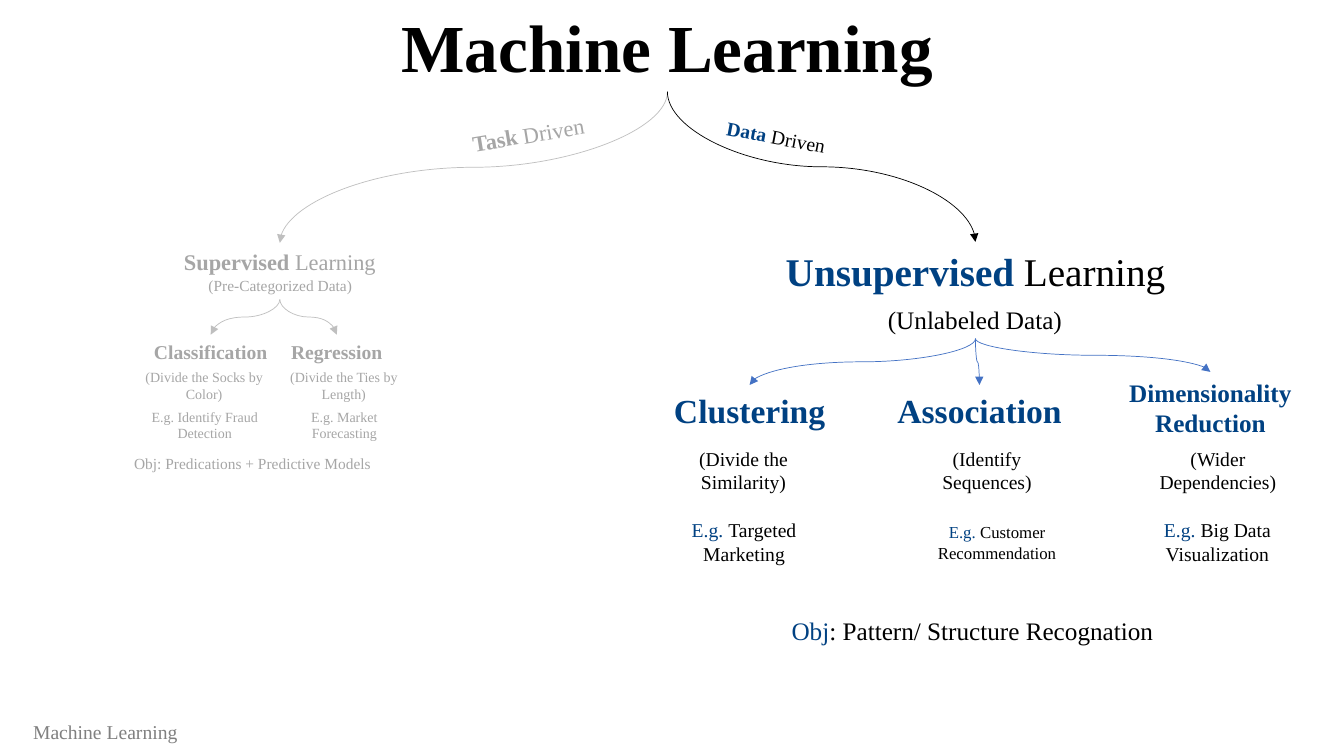
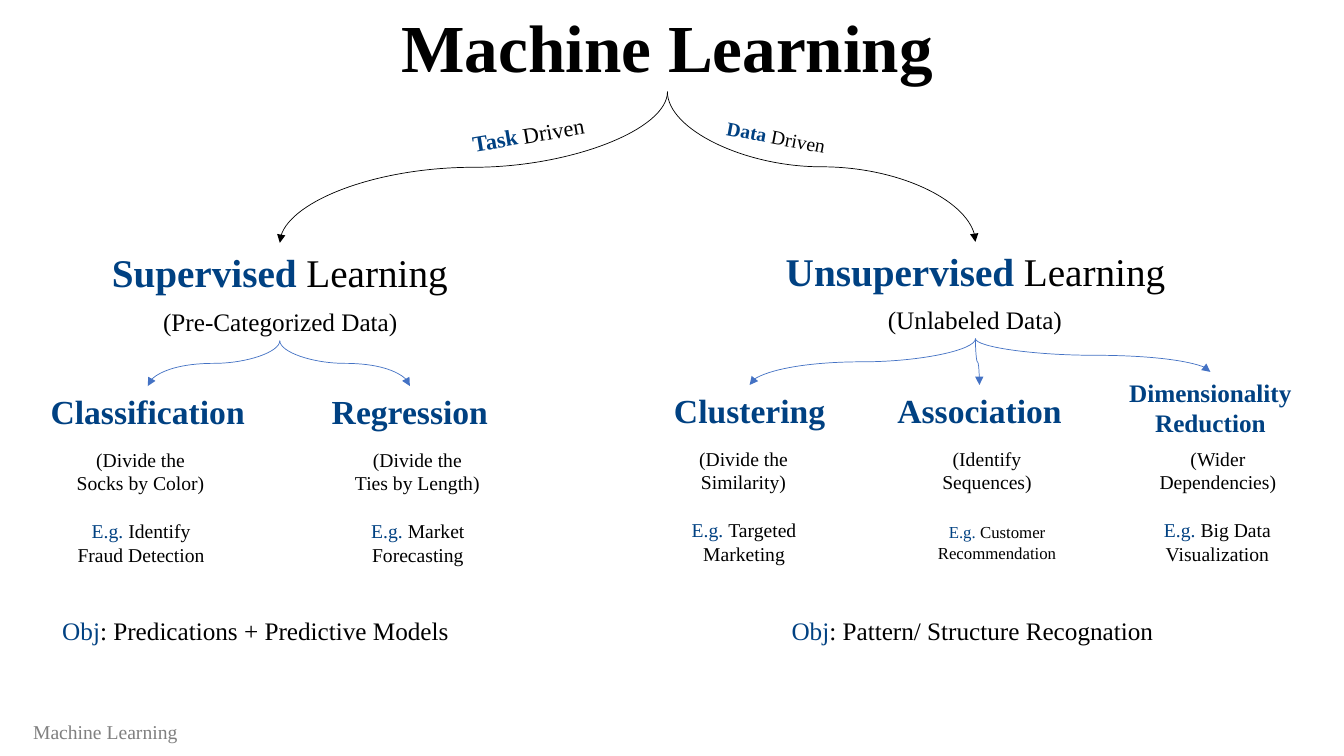
from dataclasses import dataclass

from lxml import etree
from pptx import Presentation
from pptx import util as u
from pptx.dml import color
from pptx.enum import shapes, text
from pptx.oxml import ns


@dataclass(frozen=True)
class Tone:
    lead: str
    rest: str
    trunk: str
    fork: str


@dataclass(frozen=True)
class Theme:
    font: str = "Times New Roman"
    live: Tone = Tone("004182", "000000", "000000", "4472C4")
    faded: Tone = Tone("A6A6A6", "A6A6A6", "BFBFBF", "BFBFBF")
    plain: Tone = Tone("000000", "000000", "000000", "000000")
    foot: Tone = Tone("808080", "808080", "808080", "808080")
    title: int = 48
    head: int = 28
    name: int = 24
    note: int = 18
    body: int = 14
    task: int = 16
    small: int = 12
    tiny: int = 10
    mini: int = 11
    line: float = 0.5
    gap: int = 6


@dataclass(frozen=True)
class Place:
    x: float
    y: float
    w: float
    size: int
    lines: int = 1

    @property
    def high(self):
        return round(self.lines * self.size * 1.15 / 72 + 0.1, 2)

    @property
    def mid(self):
        return self.x + self.w / 2

    @property
    def base(self):
        return self.y + self.high


@dataclass(frozen=True)
class Words:
    head: str
    note: str
    goal: str
    drive: str
    leaves: tuple


@dataclass(frozen=True)
class Layout:
    head: Place
    note: Place
    goal: Place
    drive: Place
    turn: float
    leaves: tuple


T = Theme()
ROOT = (6.62, 0.91)
TITLE = Place(3.71, 0, 5.82, T.title)
FOOT = Place(0.05, 7.09, 1.99, T.body)

TASK = Words("Supervised", "(Pre-Categorized Data)", "Predications + Predictive Models", "Task", (
    ("Classification", "(Divide the Socks by Color)", "Identify Fraud Detection"),
    ("Regression", "(Divide the Ties by Length)", "Market Forecasting"),
))
DATA = Words("Unsupervised", "(Unlabeled Data)", "Pattern/ Structure Recognation", "Data", (
    ("Clustering", "(Divide the Similarity)", "Targeted Marketing"),
    ("Association", "(Identify Sequences)", "Customer Recommendation"),
    ("Dimensionality Reduction", "(Wider Dependencies)", "Big Data Visualization"),
))

SIDE = Place(4.52, 1.15, 1.44, T.task)
SMALL = Layout(
    Place(0.92, 2.41, 3.71, T.task), Place(1.24, 2.69, 3.08, T.mini),
    Place(0.38, 4.46, 4.25, T.mini), SIDE, 350.5, (
        (Place(1.42, 3.32, 1.34, T.body), Place(1.26, 3.61, 1.53, T.tiny, 2),
         Place(1.2, 4, 1.66, T.tiny, 2)),
        (Place(2.74, 3.32, 1.2, T.body), Place(2.69, 3.61, 1.44, T.tiny, 2),
         Place(2.78, 4, 1.27, T.tiny, 2)),
    ))
LEFT = Layout(
    Place(0.92, 2.41, 3.71, T.head), Place(1.24, 2.99, 3.08, T.note),
    Place(0.41, 6.06, 4.25, T.note), SIDE, 350.5, (
        (Place(0.4, 3.83, 2.13, T.name), Place(0.63, 4.39, 1.53, T.body, 2),
         Place(0.57, 5.1, 1.66, T.body, 2)),
        (Place(3, 3.83, 2.13, T.name), Place(3.42, 4.39, 1.44, T.body, 2),
         Place(3.51, 5.1, 1.27, T.body, 2)),
    ))
RIGHT = Layout(
    Place(7.52, 2.4, 4.31, T.head), Place(8.13, 2.97, 3.08, T.note),
    Place(7.52, 6.06, 4.25, T.note), Place(6.81, 1.19, 1.78, T.body), 10.8, (
        (Place(6.37, 3.82, 2.13, T.name), Place(6.61, 4.38, 1.53, T.body, 2),
         Place(6.55, 5.09, 1.66, T.body, 2)),
        (Place(8.65, 3.82, 2.13, T.name), Place(9.07, 4.38, 1.44, T.body, 2),
         Place(9.16, 5.13, 1.46, T.small, 2)),
        (Place(10.94, 3.69, 2.13, T.note, 2), Place(11.36, 4.38, 1.44, T.body, 2),
         Place(11.44, 5.09, 1.27, T.body, 2)),
    ))


def assign(item, values):
    for key, value in values.items():
        setattr(item, key, value)


def label(slide, place, tone, lead="", rest="", bold=False, turn=0, after=0):
    box = slide.shapes.add_textbox(*map(u.Inches, (place.x, place.y, place.w, place.high)))
    box.rotation = turn
    frame = box.text_frame
    assign(frame, {"word_wrap": True, "auto_size": text.MSO_AUTO_SIZE.SHAPE_TO_FIT_TEXT})
    para = frame.paragraphs[0]
    assign(para, {"alignment": text.PP_ALIGN.CENTER, "space_after": u.Pt(after)})
    for words, ink, heavy in ((lead, tone.lead, bold), (rest, tone.rest, False)):
        if words:
            run = para.add_run()
            run.text = words
            assign(run.font, {"name": T.font, "size": u.Pt(place.size), "bold": heavy})
            run.font.color.rgb = color.RGBColor.from_string(ink)


def arrow(slide, start, end, ink):
    (x1, y1), (x2, y2) = start, end
    wide, high = y2 - y1, abs(x2 - x1)
    left, top = (x1 + x2 - wide) / 2, (y1 + y2 - high) / 2
    ends = (left, left + wide)
    turn = 90
    if x2 > x1:
        ends, turn = ends[::-1], 270
    curve = slide.shapes.add_connector(
        shapes.MSO_CONNECTOR.CURVE, *map(u.Inches, (ends[0], top, ends[1], top + high)))
    curve.line.width = u.Pt(T.line)
    curve.line.color.rgb = color.RGBColor.from_string(ink)
    props = curve._element.spPr
    props.find(ns.qn("a:xfrm")).set("rot", str(turn * 60000))
    etree.SubElement(props.find(ns.qn("a:ln")), ns.qn("a:tailEnd"), type="triangle")
    etree.SubElement(props, ns.qn("a:effectLst"))


def branch(slide, words, plan, tone):
    label(slide, plan.head, tone, words.head + " ", "Learning", bold=True, after=T.gap)
    label(slide, plan.note, tone, rest=words.note)
    label(slide, plan.drive, tone, words.drive, " Driven", bold=True, turn=plan.turn)
    label(slide, plan.goal, tone, "Obj", ": " + words.goal)
    hub = plan.head.mid
    arrow(slide, ROOT, (hub, plan.head.y), tone.trunk)
    for (name, hint, case), (top, mid, low) in zip(words.leaves, plan.leaves):
        label(slide, top, tone, name, bold=True)
        label(slide, mid, tone, rest=hint)
        label(slide, low, tone, "E.g. ", case)
        arrow(slide, (hub, plan.note.base), (top.mid, top.y), tone.fork)


def main():
    deck = Presentation()
    assign(deck, {"slide_width": u.Inches(13.33), "slide_height": u.Inches(7.5)})
    for plan, tone in ((SMALL, T.faded), (LEFT, T.live)):
        slide = deck.slides.add_slide(deck.slide_layouts[6])
        label(slide, TITLE, T.plain, "Machine Learning", bold=True, after=T.gap)
        label(slide, FOOT, T.foot, "Machine Learning")
        branch(slide, TASK, plan, tone)
        branch(slide, DATA, RIGHT, T.live)
    deck.save("out.pptx")


if __name__ == "__main__":
    main()
